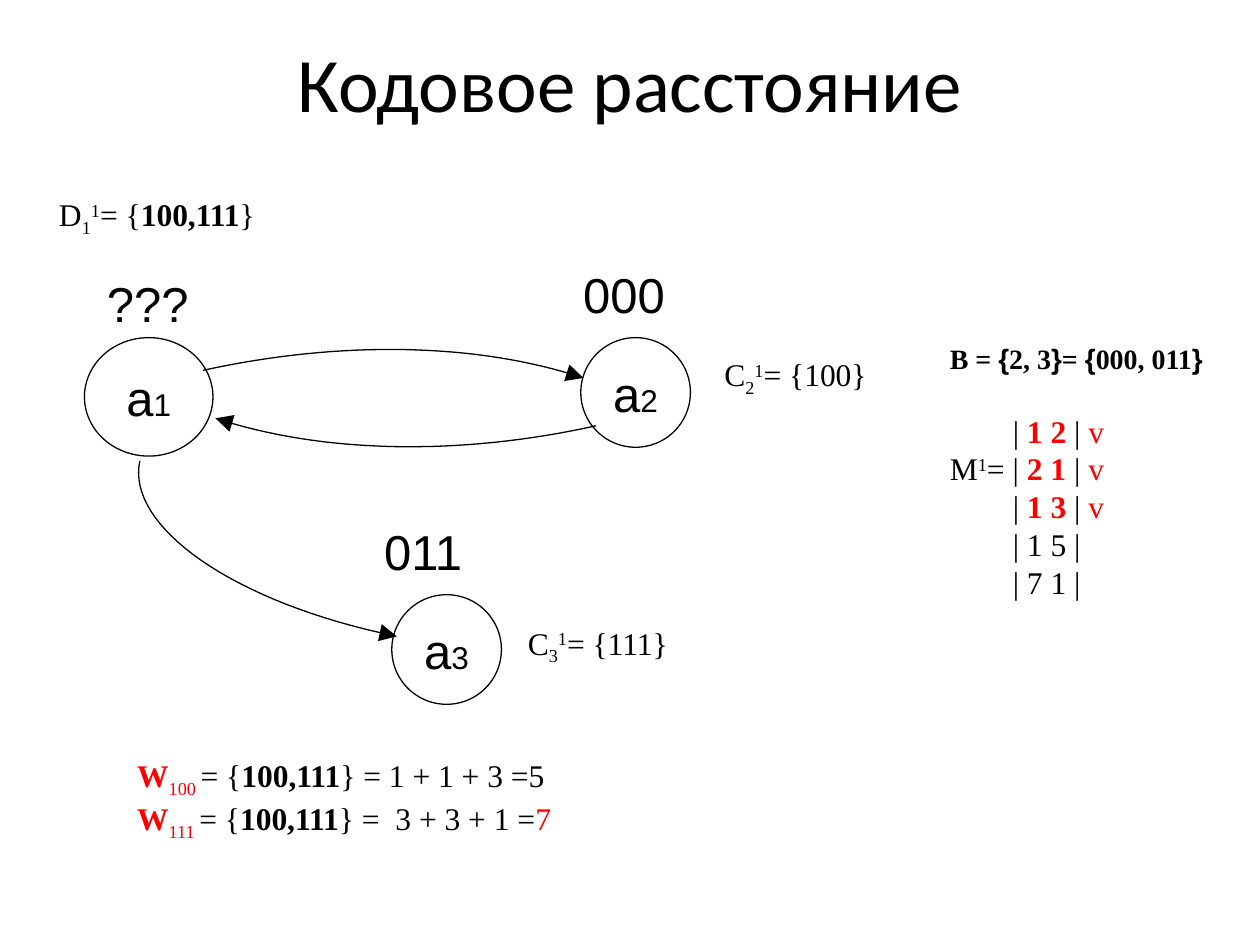
"""Build the slide on code distance: a state graph with its sets and weights."""
from lxml import etree
from pptx import Presentation
from pptx.dml.color import RGBColor
from pptx.enum.shapes import MSO_SHAPE
from pptx.enum.text import MSO_ANCHOR, PP_ALIGN
from pptx.oxml.ns import qn
from pptx.util import Inches, Pt

OVAL = MSO_SHAPE.OVAL
MIDDLE = MSO_ANCHOR.MIDDLE
CENTER = PP_ALIGN.CENTER

COLORS = {"ink": "000000", "accent": "FF0000"}
SANS, SERIF, TITLE_FONT = "Arial", "Times New Roman", "Calibri"
BASELINES = {"_": "-25000", "^": "30000"}
STEPS = 32

STATES = [
    ("1", 0.67, 2.68, 1.02, 0.94),
    ("2", 4.61, 2.68, 0.87, 0.87),
    ("3", 3.11, 4.72, 0.87, 0.87),
]
CODES = [("???", 0.75, 2.12), ("000", 4.53, 2.05), ("011", 2.95, 4.09)]
TRANSITIONS = [
    [(1.61, 2.94), (2.7, 2.7), (3.79, 2.72), (4.63, 3)],
    [(4.73, 3.38), (3.65, 3.62), (2.56, 3.6), (1.71, 3.32)],
    [(1.11, 3.66), (1, 4.17), (1.83, 4.78), (3.15, 5.05)],
]
SETS = [
    ("C", "2", [("= {100}", "")], 5.65, 2.77, 1.42),
    ("C", "3", [("= {111}", "")], 4.09, 4.9, 1.42),
    ("D", "1", [("= {", ""), ("100,111", "b"), ("}", "")], 0.37, 1.5, 1.96),
]
WEIGHTS = [
    ("100 ", [("} = 1 + 1 + 3 =5", "")]),
    ("111 ", [("} =  3 + 3 + 1 =", ""), ("7", "r")]),
]
BLOCKS = [
    ("B = ", "b"), ("{", "ab"), ("2, 3", "b"), ("}", "ab"),
    ("= ", "b"), ("{", "ab"), ("000, 011", "b"), ("}", "ab"),
]
MATRIX = [("1 2", True), ("2 1", True), ("1 3", True), ("1 5", False), ("7 1", False)]


def rgb(name):
    """Return the named colour."""
    return RGBColor.from_string(COLORS[name])


def add_run(p, text, size, font, flags=""):
    """Add a run; flags are b bold, r red, a Arial, _ subscript, ^ superscript."""
    r = p.add_run()
    r.text = text
    r.font.size = Pt(size)
    r.font.name = SANS if "a" in flags else font
    r.font.bold = "b" in flags
    r.font.color.rgb = rgb("accent" if "r" in flags else "ink")
    for flag, baseline in BASELINES.items():
        if flag in flags:
            r.font._element.set("baseline", baseline)


def add_runs(p, runs, size=18, font=SERIF):
    """Add a sequence of (text, flags) runs."""
    for text, flags in runs:
        add_run(p, text, size, font, flags)


def add_box(slide, x, y, w, h):
    """Add a wrapping text box and return its text frame."""
    tf = slide.shapes.add_textbox(Inches(x), Inches(y), Inches(w), Inches(h)).text_frame
    tf.word_wrap = True
    return tf


def style_outline(sp):
    """Give a shape a thin dark outline, no fill and no shadow."""
    sp.fill.background()
    sp.line.color.rgb = rgb("ink")
    sp.line.width = Pt(0.75)
    sp.shadow.inherit = False


def set_title(slide, text):
    """Place and fill the title placeholder."""
    sp = slide.shapes.title
    sp.left, sp.top, sp.width, sp.height = (Inches(v) for v in (0.5, 0.3, 9, 0.69))
    tf = sp.text_frame
    tf.vertical_anchor = MIDDLE
    p = tf.paragraphs[0]
    p.alignment = CENTER
    add_run(p, text, 44, TITLE_FONT)


def add_state(slide, number, x, y, w, h):
    """Add a state circle labelled a and its number."""
    sp = slide.shapes.add_shape(OVAL, Inches(x), Inches(y), Inches(w), Inches(h))
    style_outline(sp)
    tf = sp.text_frame
    tf.word_wrap = False
    tf.vertical_anchor = MIDDLE
    p = tf.paragraphs[0]
    p.alignment = CENTER
    add_run(p, "a", 28, SANS)
    add_run(p, number, 18, SANS)


def bezier(points, t):
    """Return the point at t on a cubic curve, in EMU."""
    u = 1 - t
    weights = (u ** 3, 3 * u * u * t, 3 * u * t * t, t ** 3)
    return tuple(Inches(sum(k * c for k, c in zip(weights, axis))) for axis in zip(*points))


def add_transition(slide, points):
    """Add a curved arrow through cubic control points."""
    start, *rest = [bezier(points, i / STEPS) for i in range(STEPS + 1)]
    fb = slide.shapes.build_freeform(*start)
    fb.add_line_segments(rest, close=False)
    sp = fb.convert_to_shape()
    style_outline(sp)
    ln = sp.line._get_or_add_ln()
    etree.SubElement(ln, qn("a:tailEnd"), type="triangle", w="lg", len="lg")


def add_weights(slide):
    """Add the weight sums under the graph."""
    tf = add_box(slide, 0.99, 5.95, 7.71, 1.08)
    for i, (index, total) in enumerate(WEIGHTS):
        p = tf.add_paragraph() if i else tf.paragraphs[0]
        runs = [("W", "br"), (index, "r_"), ("= {", ""), ("100,111", "b")]
        add_runs(p, runs + total)


def add_matrix(slide):
    """Add the block list and the matrix with its marked rows."""
    tf = add_box(slide, 7.44, 2.66, 2.36, 2.17)
    add_runs(tf.paragraphs[0], BLOCKS, 16)
    for i, (pair, marked) in enumerate(MATRIX):
        p = tf.add_paragraph()
        if i == 0:
            p.space_before = Pt(21)
        if i == 1:
            add_runs(p, [("M", ""), ("1", "^"), ("= ", "")])
        else:
            p._p.get_or_add_pPr().set("marL", str(Inches(0.5)))
        if marked:
            add_runs(p, [("| ", ""), (pair, "br"), (" | ", ""), ("v", "r")])
        else:
            add_runs(p, [(f"| {pair} |", "")])


def main():
    """Build and save the slide."""
    prs = Presentation()
    prs.slide_width, prs.slide_height = Inches(10), Inches(7.5)
    slide = prs.slides.add_slide(prs.slide_layouts[5])
    set_title(slide, "Кодовое расстояние")
    for state in STATES:
        add_state(slide, *state)
    for points in TRANSITIONS:
        add_transition(slide, points)
    for code, x, y in CODES:
        add_run(add_box(slide, x, y, 1.02, 0.57).paragraphs[0], code, 28, SANS)
    for letter, index, value, x, y, w in SETS:
        p = add_box(slide, x, y, w, 0.44).paragraphs[0]
        add_runs(p, [(letter, ""), (index, "_"), ("1", "^")] + value)
    add_weights(slide)
    add_matrix(slide)
    prs.save("out.pptx")


if __name__ == "__main__":
    main()
